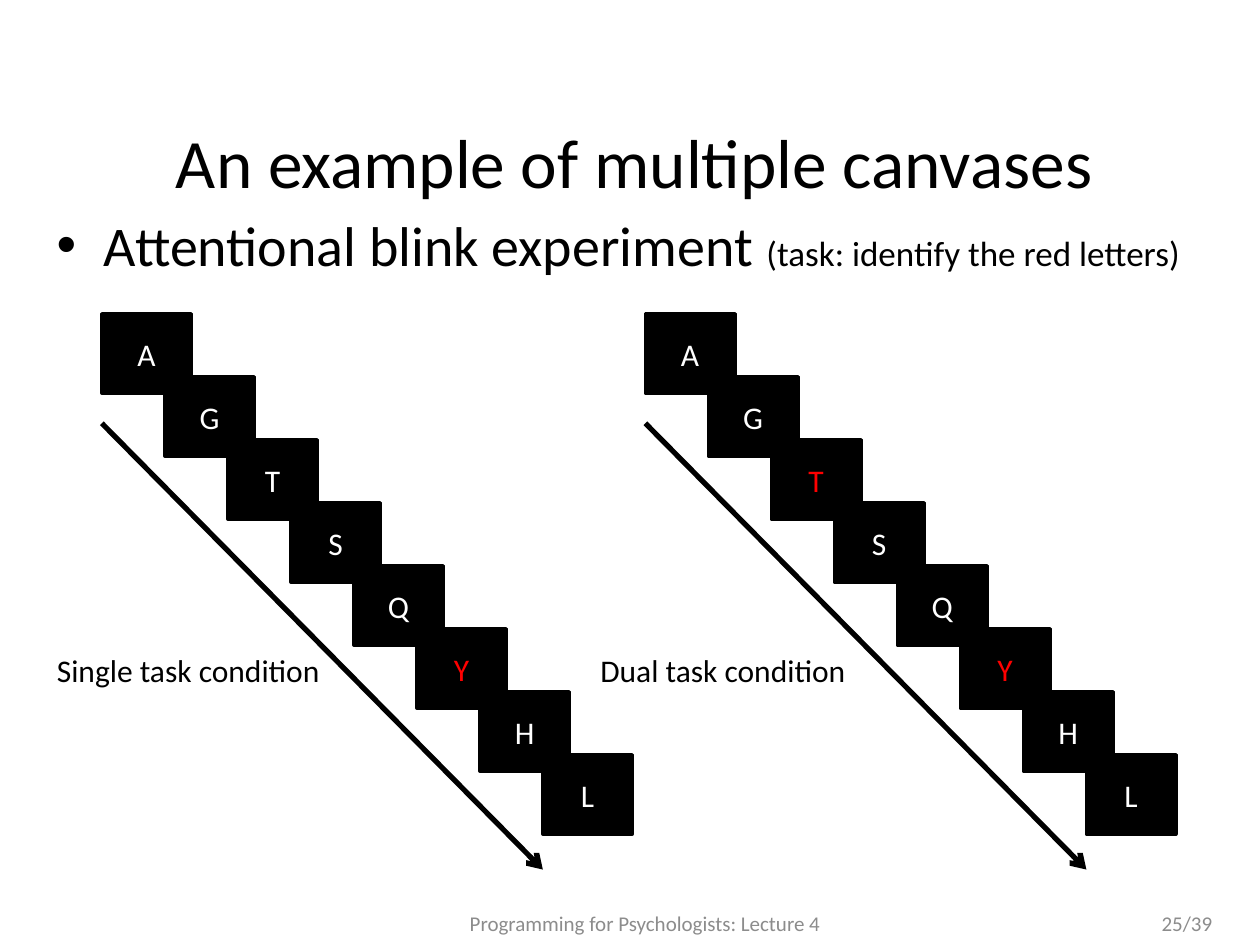
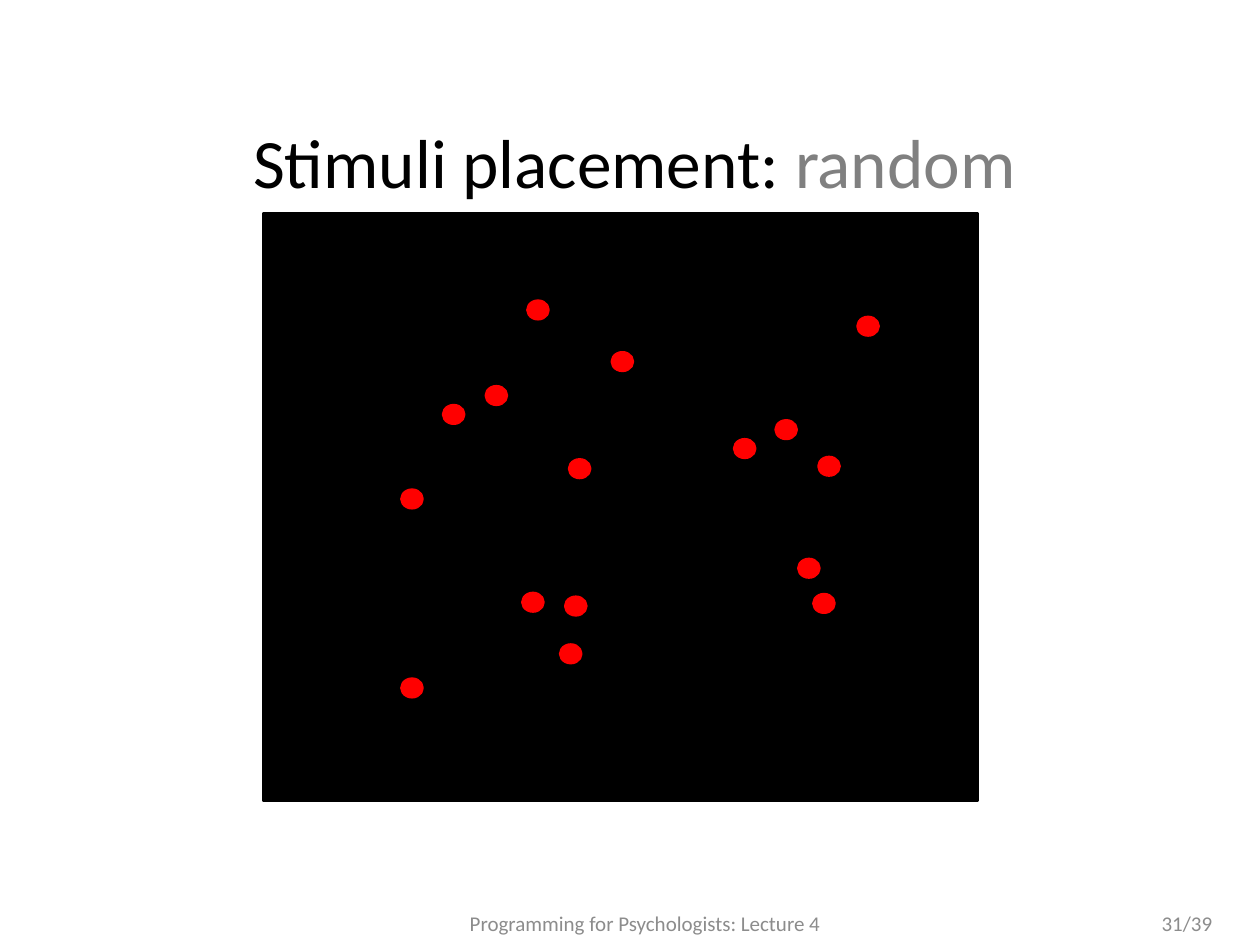
from lxml.etree import SubElement
from pptx import Presentation
from pptx.dml.color import RGBColor
from pptx.enum.shapes import MSO_CONNECTOR, MSO_SHAPE
from pptx.enum.text import MSO_ANCHOR, MSO_AUTO_SIZE, PP_ALIGN
from pptx.oxml.ns import qn
from pptx.util import Pt

BLACK = RGBColor(0x00, 0x00, 0x00)
WHITE = RGBColor(0xFF, 0xFF, 0xFF)
RED = RGBColor(0xFF, 0x00, 0x00)
GREY = RGBColor(0x80, 0x80, 0x80)
FOOTER_GREY = RGBColor(0x8C, 0x8C, 0x8C)
FONT = "Calibri"

TITLE_BOX = (25.2, 66.2, 674.6, 51.1)
BODY_BOX = (25.2, 116.6, 674.6, 396.7)
FOOTER_BOX = (133.2, 519.1, 470.9, 17.3)
NUMBER_BOX = (609.1, 519.1, 90.7, 17.3)

LETTERS = "AGTSQYHL"
LETTER_SIZE = (51.1, 45.4)
LETTER_STEP = 36

PANEL_BOX = (150.5, 122.4, 408.2, 334.8)
DOT_SIZE = (11.5, 10.1)
DOT_OFFSETS = [
    (79.2, 157.7), (103, 109.4), (127.4, 98.6), (151.2, 49.7),
    (175, 140.4), (79.2, 265.7), (148.3, 216.7), (172.8, 218.9),
    (169.9, 246.2), (269.3, 128.9), (293, 118.1), (317.5, 139),
    (306, 197.3), (314.6, 217.4), (199.4, 79.2), (339.8, 59),
]


def to_points(box):
    return [Pt(length) for length in box]


def format_run(run, size, color):
    run.font.name = FONT
    run.font.size = Pt(size)
    run.font.color.rgb = color


def fill_placeholder(placeholder, box, parts):
    placeholder.left, placeholder.top, placeholder.width, placeholder.height = to_points(box)
    placeholder.text_frame.auto_size = MSO_AUTO_SIZE.NONE
    paragraph = placeholder.text_frame.paragraphs[0]
    for text, size, color in parts:
        run = paragraph.add_run()
        run.text = text
        format_run(run, size, color)
    return paragraph


def add_label(slide, box, text, size, color, alignment=PP_ALIGN.LEFT):
    label = slide.shapes.add_textbox(*to_points(box))
    text_frame = label.text_frame
    text_frame.text = text
    paragraph = text_frame.paragraphs[0]
    paragraph.alignment = alignment
    format_run(paragraph.runs[0], size, color)
    return text_frame


def add_solid(shapes, kind, box, color):
    shape = shapes.add_shape(kind, *to_points(box))
    shape.shadow.inherit = False
    shape.fill.solid()
    shape.fill.fore_color.rgb = color
    shape.line.color.rgb = color
    shape.line.width = Pt(2)
    return shape


def add_slide(presentation, layout_name, title_parts, number):
    layout = presentation.slide_layouts.get_by_name(layout_name)
    slide = presentation.slides.add_slide(layout)
    title = slide.shapes.title
    parts = [(text, 39.6, color) for text, color in title_parts]
    fill_placeholder(title, TITLE_BOX, parts).alignment = PP_ALIGN.CENTER
    title.text_frame.vertical_anchor = MSO_ANCHOR.MIDDLE
    for box, text, alignment in (
        (FOOTER_BOX, "Programming for Psychologists: Lecture 4", PP_ALIGN.CENTER),
        (NUMBER_BOX, f"{number}/39", PP_ALIGN.RIGHT),
    ):
        text_frame = add_label(slide, box, text, 12, FOOTER_GREY, alignment)
        text_frame.word_wrap = True
        text_frame.vertical_anchor = MSO_ANCHOR.MIDDLE
    return slide


def add_time_arrow(slide, left, top, width, height):
    arrow = slide.shapes.add_connector(
        MSO_CONNECTOR.STRAIGHT, *to_points((left, top, left + width, top + height)))
    arrow.line.color.rgb = BLACK
    arrow.line.width = Pt(3)
    properties = arrow.element.spPr
    SubElement(properties.find(qn("a:ln")), qn("a:tailEnd"), type="arrow")
    SubElement(properties, qn("a:effectLst"))


def add_letter_stream(slide, left, top, targets, caption, caption_width):
    for index, letter in enumerate(LETTERS):
        offset = index * LETTER_STEP
        canvas = add_solid(slide.shapes, MSO_SHAPE.RECTANGLE,
                           (left + offset, top + offset, *LETTER_SIZE), BLACK)
        canvas.text_frame.text = letter
        paragraph = canvas.text_frame.paragraphs[0]
        paragraph.alignment = PP_ALIGN.CENTER
        format_run(paragraph.runs[0], 18, RED if letter in targets else WHITE)
    add_time_arrow(slide, left, top + 62.6, 252, 255)
    text_frame = add_label(slide, (left - 32.8, top + 189.3, caption_width, 28.8),
                           caption, 18, BLACK)
    text_frame.word_wrap = False
    text_frame.auto_size = MSO_AUTO_SIZE.SHAPE_TO_FIT_TEXT


def add_dot_panel(slide, box):
    left, top = box[:2]
    group = slide.shapes.add_group_shape()
    add_solid(group.shapes, MSO_SHAPE.RECTANGLE, box, BLACK)
    for across, down in DOT_OFFSETS:
        add_solid(group.shapes, MSO_SHAPE.OVAL,
                  (left + across, top + down, *DOT_SIZE), RED)


def build_canvases_slide(presentation):
    slide = add_slide(presentation, "Title and Content",
                      [("An example of multiple canvases", BLACK)], 25)
    fill_placeholder(slide.placeholders[1], BODY_BOX, [
        ("Attentional blink experiment ", 32, BLACK),
        ("(task: identify the red letters)", 20, BLACK),
    ])
    add_letter_stream(slide, 58.2, 179.3, "Y", "Single task condition", 166.3)
    add_letter_stream(slide, 368.8, 179.3, "TY", "Dual task condition", 156.2)


def build_placement_slide(presentation):
    slide = add_slide(presentation, "Title Only",
                      [("Stimuli placement: ", BLACK), ("random", GREY)], 31)
    add_dot_panel(slide, PANEL_BOX)


def main():
    presentation = Presentation()
    presentation.slide_width = Pt(720)
    presentation.slide_height = Pt(540)
    build_canvases_slide(presentation)
    build_placement_slide(presentation)
    presentation.save("out.pptx")


if __name__ == "__main__":
    main()
